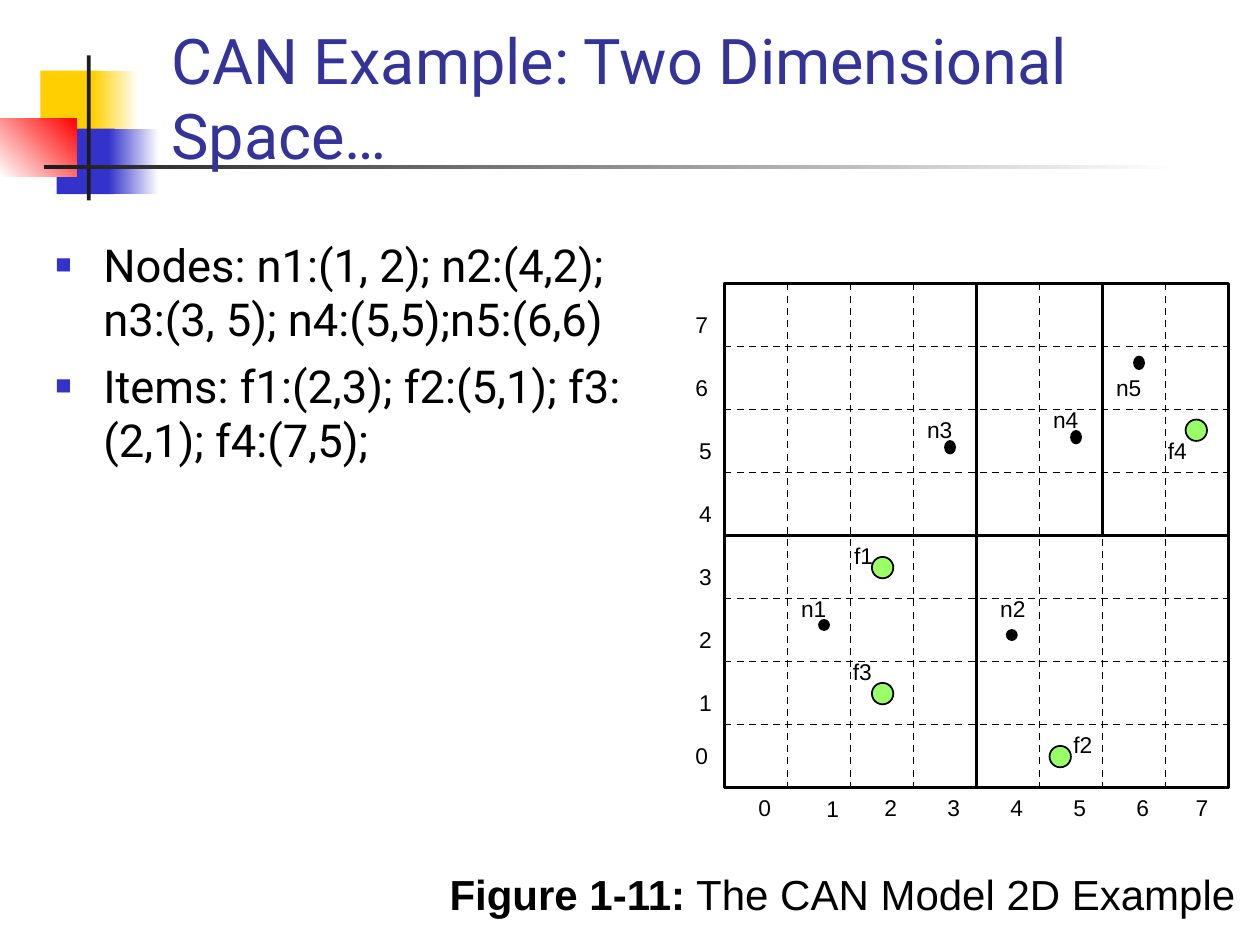
from lxml import etree
from pptx import Presentation
from pptx.dml.color import RGBColor
from pptx.enum.dml import MSO_LINE
from pptx.enum.shapes import MSO_CONNECTOR, MSO_SHAPE
from pptx.enum.text import MSO_ANCHOR, MSO_AUTO_SIZE, PP_ALIGN
from pptx.oxml.ns import qn
from pptx.util import Inches, Pt

RECTANGLE, OVAL = MSO_SHAPE.RECTANGLE, MSO_SHAPE.OVAL
STRAIGHT, DASH = MSO_CONNECTOR.STRAIGHT, MSO_LINE.DASH
BOTTOM, TOP, LEFT = MSO_ANCHOR.BOTTOM, MSO_ANCHOR.TOP, PP_ALIGN.LEFT
FIXED, FIT_SHAPE = MSO_AUTO_SIZE.NONE, MSO_AUTO_SIZE.SHAPE_TO_FIT_TEXT

BLACK = RGBColor(0x00, 0x00, 0x00)
WHITE = RGBColor(0xFF, 0xFF, 0xFF)
YELLOW = RGBColor(0xFF, 0xCF, 0x01)
BLUE = RGBColor(0x33, 0x33, 0xCC)
RED = RGBColor(0xFF, 0x00, 0x00)
CHARCOAL = RGBColor(0x1C, 0x1C, 0x1C)
TITLE_BLUE = RGBColor(0x33, 0x33, 0x99)
GREEN = RGBColor(0x99, 0xFF, 0x66)

prs = Presentation()
prs.slide_width, prs.slide_height = Inches(10), Inches(7.5)
slide = prs.slides.add_slide(prs.slide_layouts[1])
shapes = slide.shapes
title, body = shapes.title, slide.placeholders[1]


def add_figure(kind, box, fill=None, line_width=None):
    figure = shapes.add_shape(kind, *map(Inches, box))
    figure.shadow.inherit = False
    if fill is None:
        figure.fill.background()
    else:
        figure.fill.solid()
        figure.fill.fore_color.rgb = fill
    if line_width is None:
        figure.line.fill.background()
    else:
        figure.line.color.rgb = BLACK
        figure.line.width = Pt(line_width)
    return figure


def add_label(text, left, top, width=0.3):
    label = shapes.add_textbox(*map(Inches, (left, top, width, 0.31)))
    label.text_frame.word_wrap = False
    label.text_frame.auto_size = FIT_SHAPE
    paragraph = label.text_frame.paragraphs[0]
    paragraph.text = text
    paragraph.font.size, paragraph.font.name = Pt(13), "Arial"
    paragraph.font.color.rgb = BLACK


# Corner decoration: box, start colour, end colour, angle
decoration = [
    ((0.32, 0.56, 0.48, 0.52), YELLOW, None, 0),
    ((0.74, 0.56, 0.36, 0.52), YELLOW, WHITE, 0),
    ((0.45, 1.02, 0.46, 0.52), BLUE, None, 0),
    ((0.86, 1.02, 0.4, 0.52), BLUE, WHITE, 0),
    ((0, 0.94, 0.61, 0.46), WHITE, RED, 45),
    ((0.69, 0.44, 0.03, 1.15), CHARCOAL, None, 0),
    ((0.35, 1.31, 9, 0.03), CHARCOAL, WHITE, 0),
]
for box, start, end, angle in decoration:
    block = add_figure(RECTANGLE, box, start)
    if end is not None:
        block.fill.gradient()
        block.fill.gradient_angle = angle
        for stop, colour in zip(block.fill.gradient_stops, (start, end)):
            stop.color.rgb = colour

# Title and list, in front of the decoration
for holder, box, anchor in [
    (title, (1.26, 0.5, 8.52, 0.92), BOTTOM),
    (body, (0.34, 1.83, 4.83, 2.17), TOP),
]:
    shapes._spTree.append(holder._element)
    holder.left, holder.top, holder.width, holder.height = map(Inches, box)
    holder.text_frame.auto_size = FIXED
    holder.text_frame.vertical_anchor = anchor

title.text_frame.text = "CAN Example: Two Dimensional Space…"
heading = title.text_frame.paragraphs[0]
heading.alignment = LEFT
heading.font.size, heading.font.name = Pt(36), "Roboto"
heading.font.color.rgb = TITLE_BLUE

body.text_frame.text = (
    "Nodes: n1:(1, 2); n2:(4,2); n3:(3, 5); n4:(5,5);n5:(6,6)\n"
    "Items: f1:(2,3); f2:(5,1); f3:(2,1); f4:(7,5);"
)
for item in body.text_frame.paragraphs:
    item.space_before = Pt(7)
    item.font.size, item.font.name = Pt(25.9), "Roboto"
    item.font.color.rgb = BLACK
    properties = item._p.get_or_add_pPr()
    properties.set("marL", str(Inches(0.38)))
    properties.set("indent", str(Inches(-0.38)))
    bullet_colour = etree.Element(qn("a:buClr"))
    etree.SubElement(bullet_colour, qn("a:srgbClr"), val=str(BLUE))
    bullet_size = etree.Element(qn("a:buSzPct"), val="60000")
    bullet_char = etree.Element(qn("a:buChar"), char="■")
    # Bullet settings come before the default run properties
    position = list(properties).index(properties.find(qn("a:defRPr")))
    properties[position:position] = [bullet_colour, bullet_size, bullet_char]

# Coordinate space and its zones
SPACE_LEFT, SPACE_TOP, SIDE, CELL = 5.75, 2.25, 4, 0.5
SPACE_RIGHT, SPACE_BOTTOM = SPACE_LEFT + SIDE, SPACE_TOP + SIDE
zones = [
    (5.75, 2.25, 4, 4),
    (5.75, 4.25, 2, 2),
    (7.75, 4.25, 2, 2),
    (5.75, 2.25, 2, 2),
    (7.75, 2.25, 1, 2),
]
side_middles = {}
for x, y, w, h in zones:
    zone = add_figure(RECTANGLE, (x, y, w, h), line_width=2)
    middles = [(x + w / 2, y), (x, y + h / 2), (x + w / 2, y + h), (x + w, y + h / 2)]
    for side, middle in enumerate(middles):
        side_middles[middle] = (zone, side)

# Dashed grid
grid = []
for step in range(1, 8):
    x, y = SPACE_LEFT + step * CELL, SPACE_TOP + step * CELL
    grid.append(((x, SPACE_TOP), (x, SPACE_BOTTOM)))
    grid.append(((SPACE_LEFT, y), (SPACE_RIGHT, y)))
for start, end in grid:
    grid_line = shapes.add_connector(STRAIGHT, *map(Inches, start + end))
    grid_line.line.color.rgb = BLACK
    grid_line.line.width = Pt(1)
    grid_line.line.dash_style = DASH
    etree.SubElement(grid_line._element.spPr, qn("a:effectLst"))
    if start in side_middles:
        grid_line.begin_connect(*side_middles[start])
    if end in side_middles:
        grid_line.end_connect(*side_middles[end])

# Axis numbers, a few of them set slightly off the regular spacing
column_shifts = {1: (6.46, 6.26), 7: (9.39, 6.25)}
row_shifts = {0: (5.42, 5.84), 6: (5.42, 2.92), 7: (5.42, 2.42)}
for number in range(8):
    add_label(str(number), *column_shifts.get(number, (5.92 + number * CELL, 6.25)))
    add_label(str(number), *row_shifts.get(number, (5.45, 5.92 - number * CELL)))

# Nodes: name, dot position, dot height, label position
nodes = [
    ("n1", (6.5, 4.92), 0.08, (6.26, 4.67)),
    ("n2", (7.99, 5), 0.08, (7.84, 4.67)),
    ("n3", (7.5, 3.5), 0.1, (7.26, 3.25)),
    ("n4", (8.5, 3.42), 0.1, (8.26, 3.17)),
    ("n5", (9, 2.83), 0.1, (8.76, 2.92)),
]
for name, dot, dot_height, label_at in nodes:
    add_figure(OVAL, (*dot, 0.08, dot_height), BLACK, 1)
    add_label(name, *label_at, 0.4)

# Items: name, circle position, label position
items = [
    ("f1", (6.92, 4.42), (6.68, 4.25)),
    ("f2", (8.33, 5.92), (8.42, 5.75)),
    ("f3", (6.92, 5.42), (6.67, 5.17)),
    ("f4", (9.41, 3.33), (9.17, 3.42)),
]
for name, circle, label_at in items:
    add_figure(OVAL, (*circle, 0.17, 0.17), GREEN, 1)
    add_label(name, *label_at, 0.35)

# Caption
caption = shapes.add_textbox(Inches(3.47), Inches(6.84), Inches(6.56), Inches(0.69))
caption.text_frame.word_wrap = True
caption_line = caption.text_frame.paragraphs[0]
caption_line.space_before = Pt(6)
caption_line.font.size, caption_line.font.name = Pt(24), "Arial"
caption_line.font.color.rgb = BLACK
for text, bold in [("Figure 1-11:", True), (" The CAN Model 2D Example", False)]:
    run = caption_line.add_run()
    run.text, run.font.bold = text, bold

prs.save("out.pptx")
